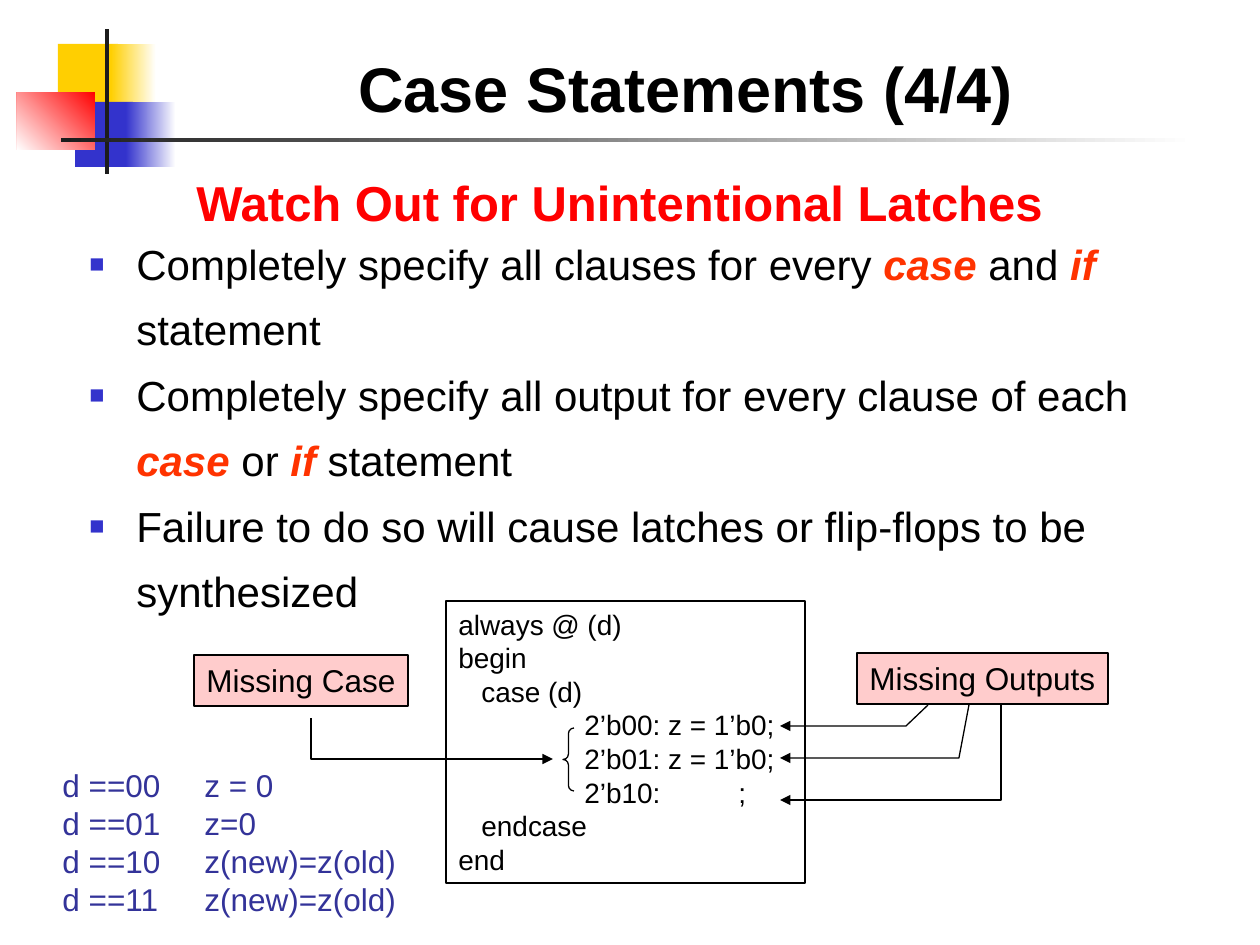
from lxml import etree
from pptx import Presentation, util as u
from pptx.dml.color import RGBColor
from pptx.enum import shapes, text
from pptx.oxml import ns

PX = 914400 / 126
HUES = {"white": "FFFFFF", "black": "000000", "ink": "1C1C1C", "gold": "FFCF01",
        "blue": "3333CC", "red": "FF0000", "pink": "FFCCCC", "flame": "FF3300",
        "navy": "333399"}

deck = Presentation()
deck.slide_width, deck.slide_height = u.Inches(10), u.Inches(7.5)
slide = deck.slides.add_slide(deck.slide_layouts[6])
items = slide.shapes


def hue(name):
    return RGBColor.from_string(HUES[name])


def write(box, lines, size=18, color="black", bold=False, wrap=True, anchor="TOP",
          space=1.0, stops=(), indents=None, bullet=None):
    """Fill a shape with lines; words between asterisks are emphasised."""
    frame = box.text_frame
    frame.word_wrap = wrap
    frame.vertical_anchor = getattr(text.MSO_ANCHOR, anchor)
    for n, line in enumerate(lines):
        para = frame.add_paragraph() if n else frame.paragraphs[0]
        para.alignment = text.PP_ALIGN.LEFT
        para.line_spacing = space
        for k, part in enumerate(line.split("*")):
            strong = k % 2 == 1
            run = para.add_run()
            run.text = part
            font = run.font
            font.name, font.size = "Arial", u.Pt(size)
            font.bold, font.italic = bold or strong, strong
            font.color.rgb = hue("flame" if strong else color)
        props = para._p.get_or_add_pPr()
        if indents:
            props.set("marL", str(int(indents[n] * PX)))
        if bullet:
            props.set("indent", str(-int(indents[n] * PX)))
            tint = etree.SubElement(props, ns.qn("a:buClr"))
            etree.SubElement(tint, ns.qn("a:srgbClr"), val=HUES[bullet])
            etree.SubElement(props, ns.qn("a:buSzPct"), val="60000")
            etree.SubElement(props, ns.qn("a:buFont"), typeface="Arial")
            etree.SubElement(props, ns.qn("a:buChar"), char="■")
        if stops:
            tabs = etree.SubElement(props, ns.qn("a:tabLst"))
            for stop in stops:
                etree.SubElement(tabs, ns.qn("a:tab"), pos=str(int(stop * PX)), algn="l")


def draw(kind, spot, fill=None, line=None, fade=None, angle=0):
    """Add a preset shape, plain or fading from one colour to another."""
    shape = items.add_shape(getattr(shapes.MSO_SHAPE, kind), *[int(v * PX) for v in spot])
    shape.shadow.inherit = False
    if fade:
        shape.fill.gradient()
        shape.fill.gradient_angle = angle
        for stop, name, place in zip(shape.fill.gradient_stops, (fill, fade), (0, 1)):
            stop.color.rgb, stop.position = hue(name), place
    elif fill:
        shape.fill.solid()
        shape.fill.fore_color.rgb = hue(fill)
    else:
        shape.fill.background()
    if line:
        shape.line.color.rgb, shape.line.width = hue(line), u.Pt(0.75)
    else:
        shape.line.fill.background()
    return shape


# Corner ornament and title rule
for spot, fill, fade, angle in [
    ((58, 44, 60, 66), "gold", None, 0),
    ((111, 44, 45, 66), "gold", "white", 0),
    ((75, 102, 58, 65), "blue", None, 0),
    ((126, 102, 50, 65), "blue", "white", 0),
    ((17, 92, 78, 58), "red", "white", 225),
    ((105, 29, 4, 145), "ink", None, 0),
    ((61, 138, 1134, 4), "ink", "white", 0),
]:
    draw("RECTANGLE", spot, fill, fade=fade, angle=angle)

# Code listing and its two labels
code = ["always @ (d)", "begin", "case (d)", "\t2’b00: z = 1’b0;",
        "\t2’b01: z = 1’b0;", "\t2’b10:\t;", "endcase", "end"]
write(draw("RECTANGLE", (446, 601, 359, 282), line="black"), code, size=16,
      stops=(126, 280), indents=[23 if "case" in row else 0 for row in code])
for label, spot in [("Missing Case", (194, 655, 214, 51)),
                    ("Missing Outputs", (857, 653, 251, 51))]:
    write(draw("RECTANGLE", spot, "pink", "black"), [label], wrap=False)

brace = draw("LEFT_BRACE", (563, 728, 11, 63), line="black")
brace.adjustments[0] = 0.5

# Bent arrows from the labels to the code
for start, *bends in [
    ((311, 718), (311, 759), (553, 759)),
    ((969, 705), (959, 758), (780, 758)),
    ((1001, 705), (1001, 800), (780, 800)),
    ((928, 705), (906, 726), (780, 726)),
]:
    route = items.build_freeform(*start, scale=PX)
    route.add_line_segments(bends, close=False)
    arrow = route.convert_to_shape()
    arrow.shadow.inherit = False
    arrow.fill.background()
    arrow.line.color.rgb, arrow.line.width = hue("black"), u.Pt(0.75)
    etree.SubElement(arrow.line._get_or_add_ln(), ns.qn("a:tailEnd"), type="triangle")

# Text blocks
points = ["Completely specify all clauses for every *case* and *if* statement",
          "Completely specify all output for every clause of each *case* or *if* statement",
          "Failure to do so will cause latches or flip-flops to be synthesized"]
states = ["d ==00\tz = 0", "d ==01\tz=0", "d ==10\tz(new)=z(old)", "d ==11\tz(new)=z(old)"]
for spot, lines, fmt in [
    ((184, 149, 1176, 105), ["Watch Out for Unintentional Latches"],
     dict(size=28, color="red", bold=True, anchor="MIDDLE")),
    ((77, 217, 1157, 462), points,
     dict(size=24, space=1.3, indents=[47] * 3, bullet="blue")),
    ((346, 43, 699, 88), ["Case Statements (4/4)"], dict(size=36, bold=True)),
    ((50, 760, 370, 164), states, dict(color="navy", stops=(142,))),
]:
    write(items.add_textbox(*[int(v * PX) for v in spot]), lines, **fmt)

deck.save("out.pptx")
